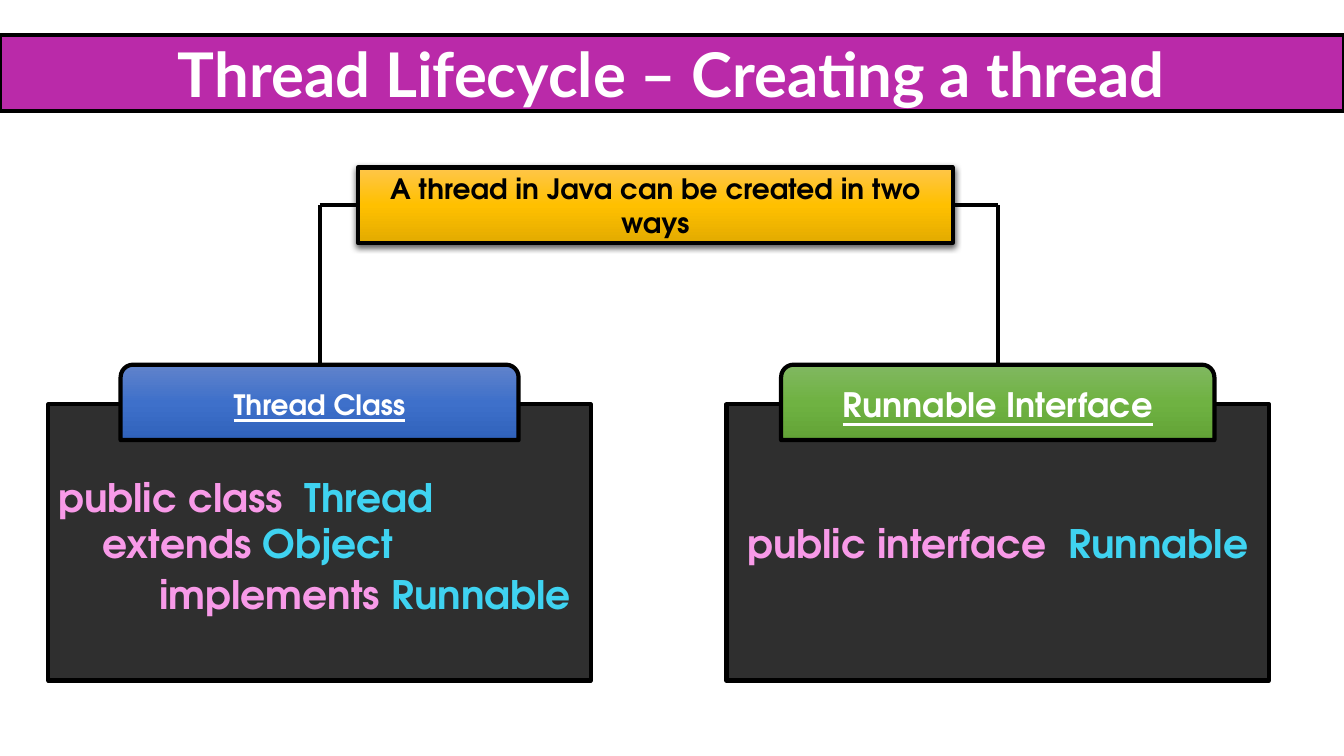
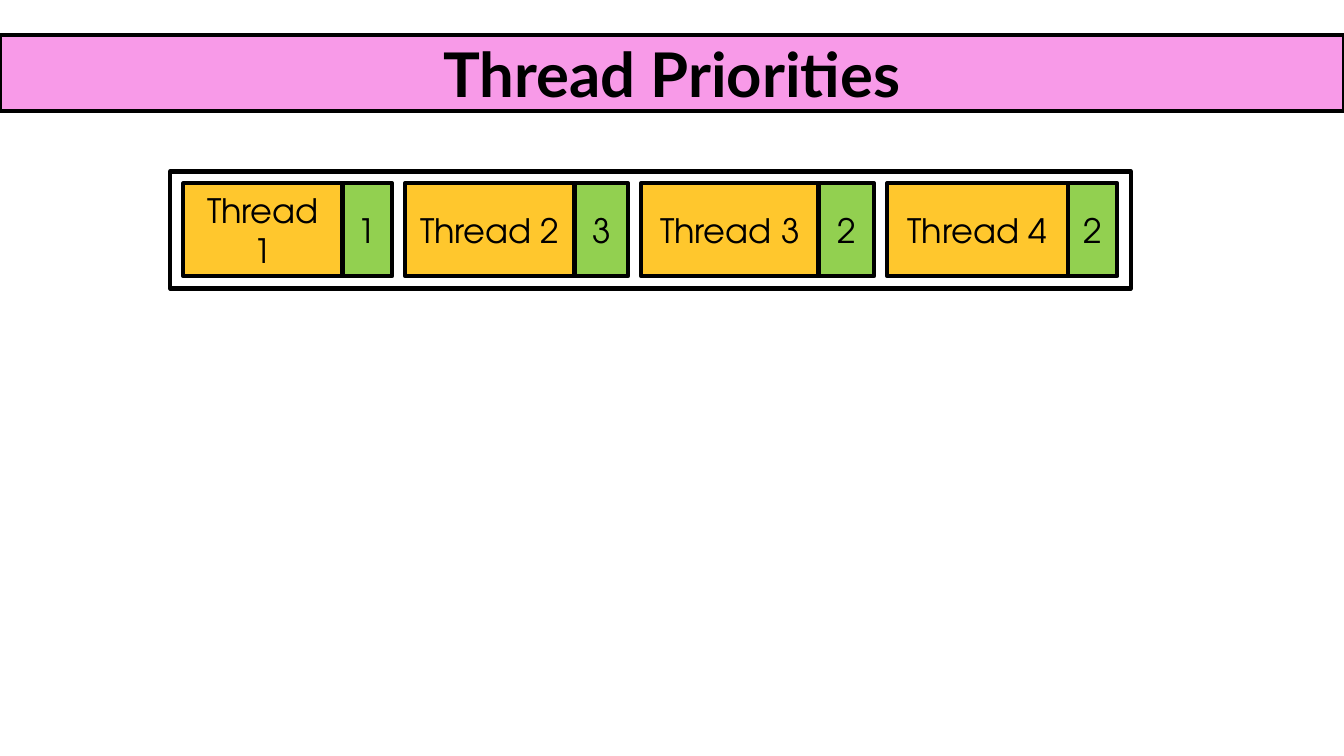
from copy import deepcopy
from pptx import Presentation
from pptx.dml.color import RGBColor
from pptx.enum.shapes import MSO_CONNECTOR, MSO_SHAPE
from pptx.enum.text import MSO_ANCHOR, PP_ALIGN
from pptx.oxml import parse_xml
from pptx.oxml.ns import nsdecls, qn
from pptx.util import Cm, Pt

RECT, TAB = MSO_SHAPE.RECTANGLE, MSO_SHAPE.ROUND_2_SAME_RECTANGLE
LINE = MSO_CONNECTOR.STRAIGHT
MID, CENTER, LEFT = MSO_ANCHOR.MIDDLE, PP_ALIGN.CENTER, PP_ALIGN.LEFT

# Shared style
WIDE, HIGH = 33.87, 19.05
BLACK, WHITE, DARK = "000000", "FFFFFF", "2F2F2F"
PURPLE, PINK, CYAN = "BA2AA9", "F89AE8", "3FD3F1"
YELLOW, LIME = "FFC72D", "92D050"
GOLD = ("FFC64B", "FFC000", "E3AB00")
BLUE = ("6183CB", "3E70CA", "3062BB")
GREEN = ("81B861", "6FB242", "62A336")
BODY = "TeX Gyre Adventor"
HEAD = dict(name="Lato", size=Pt(44), bold=True)
NOTE = dict(name=BODY, size=Pt(20), bold=True)
CODE = dict(name=BODY, size=Pt(28), bold=True)
CELL = dict(name=BODY, size=Pt(24))

# Slide 1 content
LIFE = "Thread Lifecycle – Creating a thread"
ROOT = "A thread in Java can be created in two ways"
ROOT_AT = (9.02, 4.22, 14.99, 1.9)
PANEL_TOP, PANEL_W, PANEL_H = 10.19, 13.67, 6.96
TAB_TOP, TAB_H, CODE_H = 9.19, 1.9, 1.45
# Code lines: top, indent, alignment, keyword, type name
WAYS = [
    dict(x=1.22, name="Thread Class", size=20, wide=10.03, fill=BLUE, side=1,
         code=[(11.81, 0, LEFT, "public class  ", "Thread"),
               (12.95, 1.12, LEFT, "extends ", "Object"),
               (14.25, 2.54, LEFT, "implements ", "Runnable")]),
    dict(x=18.31, name="Runnable Interface", size=24, wide=10.92, fill=GREEN, side=3,
         code=[(12.95, 0, CENTER, "public interface  ", "Runnable")]),
]

# Slide 2 content: name, priority, width of each cell
RANK = "Thread Priorities"
QUEUE = [("Thread 1", "1", 4.01, 1.25), ("Thread 2", "3", 4.27, 1.35),
         ("Thread 3", "2", 4.47, 1.4), ("Thread 4", "2", 4.55, 1.25)]
FRAME_AT = (4.29, 4.32, 24.21, 2.95)
CELL_X, CELL_Y, CELL_H, GAP = 4.62, 4.62, 2.34, 0.33


def rgb(code):
    return RGBColor.from_string(code)


def style(run, color, form):
    for key, value in form.items():
        setattr(run.font, key, value)
    run.font.color.rgb = rgb(color)


def paint(shape, fill):
    """Fill with one colour, or with a three-colour vertical blend."""
    if isinstance(fill, str):
        shape.fill.solid()
        shape.fill.fore_color.rgb = rgb(fill)
        return
    shape.fill.gradient()
    shape.fill.gradient_angle = 270
    stops = shape._element.spPr.find(".//" + qn("a:gsLst"))
    stops.insert(1, deepcopy(stops[0]))
    for stop, color, place in zip(shape.fill.gradient_stops, fill, (0, 0.5, 1)):
        stop.color.rgb = rgb(color)
        stop.position = place


def edge(item):
    item.line.color.rgb = rgb(BLACK)
    item.line.width = Pt(3)


def box(shapes, at, fill, text="", color=BLACK, form=CELL, kind=RECT):
    shape = shapes.add_shape(kind, *map(Cm, at))
    shape.shadow.inherit = False
    paint(shape, fill)
    edge(shape)
    if text:
        frame = shape.text_frame
        frame.word_wrap, frame.vertical_anchor = True, MID
        para = frame.paragraphs[0]
        para.alignment = CENTER
        run = para.add_run()
        run.text = text
        style(run, color, form)
    return shape


def cast(shape):
    """Soft shadow straight below the shape."""
    shape._element.spPr.find(qn("a:effectLst")).append(parse_xml(
        f'<a:outerShdw {nsdecls("a")} blurRad="57150" dist="19050" dir="5400000" '
        f'algn="ctr" rotWithShape="0"><a:srgbClr val="{BLACK}">'
        '<a:alpha val="63000"/></a:srgbClr></a:outerShdw>'))


def wire(shapes, start, end):
    line = shapes.add_connector(LINE, *map(Cm, start + end))
    edge(line)
    line._element.spPr.append(parse_xml(f'<a:effectLst {nsdecls("a")}/>'))
    return line


def code_line(shapes, x, top, indent, align, word, name):
    note = shapes.add_textbox(Cm(x), Cm(top), Cm(PANEL_W), Cm(CODE_H))
    frame = note.text_frame
    frame.word_wrap = True
    frame.margin_left = Cm(0.25 + indent)
    para = frame.paragraphs[0]
    para.alignment = align
    for text, color in ((word, PINK), (name, CYAN)):
        run = para.add_run()
        run.text = text
        style(run, color, CODE)


def new_slide(deck, title, fill, color):
    shapes = deck.slides.add_slide(deck.slide_layouts[6]).shapes
    box(shapes, (0, 0.89, WIDE, 1.9), fill, title, color, HEAD)
    return shapes


def life_slide(deck):
    shapes = new_slide(deck, LIFE, PURPLE, WHITE)
    root = box(shapes, ROOT_AT, GOLD, ROOT, form=NOTE)
    cast(root)
    x, y, wide, high = ROOT_AT
    level = y + high / 2
    for way in WAYS:
        # Branch from the root down to the tab
        mid = way["x"] + PANEL_W / 2
        side = x if way["side"] == 1 else x + wide
        wire(shapes, (mid, level), (side, level)).end_connect(root, way["side"])
        wire(shapes, (mid, TAB_TOP), (mid, level))
        # Panel with its tab
        group = shapes.add_group_shape().shapes
        box(group, (way["x"], PANEL_TOP, PANEL_W, PANEL_H), DARK)
        box(group, (mid - way["wide"] / 2, TAB_TOP, way["wide"], TAB_H), way["fill"],
            way["name"], WHITE, NOTE | dict(size=Pt(way["size"]), underline=True), TAB)
        for row in way["code"]:
            code_line(shapes, way["x"], *row)


def rank_slide(deck):
    shapes = new_slide(deck, RANK, PINK, BLACK)
    box(shapes, FRAME_AT, WHITE)
    x = CELL_X
    for name, rank, wide, slim in QUEUE:
        group = shapes.add_group_shape().shapes
        box(group, (x, CELL_Y, wide, CELL_H), YELLOW, name)
        box(group, (x + wide, CELL_Y, slim, CELL_H), LIME, rank)
        x += wide + slim + GAP


def main():
    deck = Presentation()
    deck.slide_width, deck.slide_height = Cm(WIDE), Cm(HIGH)
    life_slide(deck)
    rank_slide(deck)
    deck.save("out.pptx")


if __name__ == "__main__":
    main()
